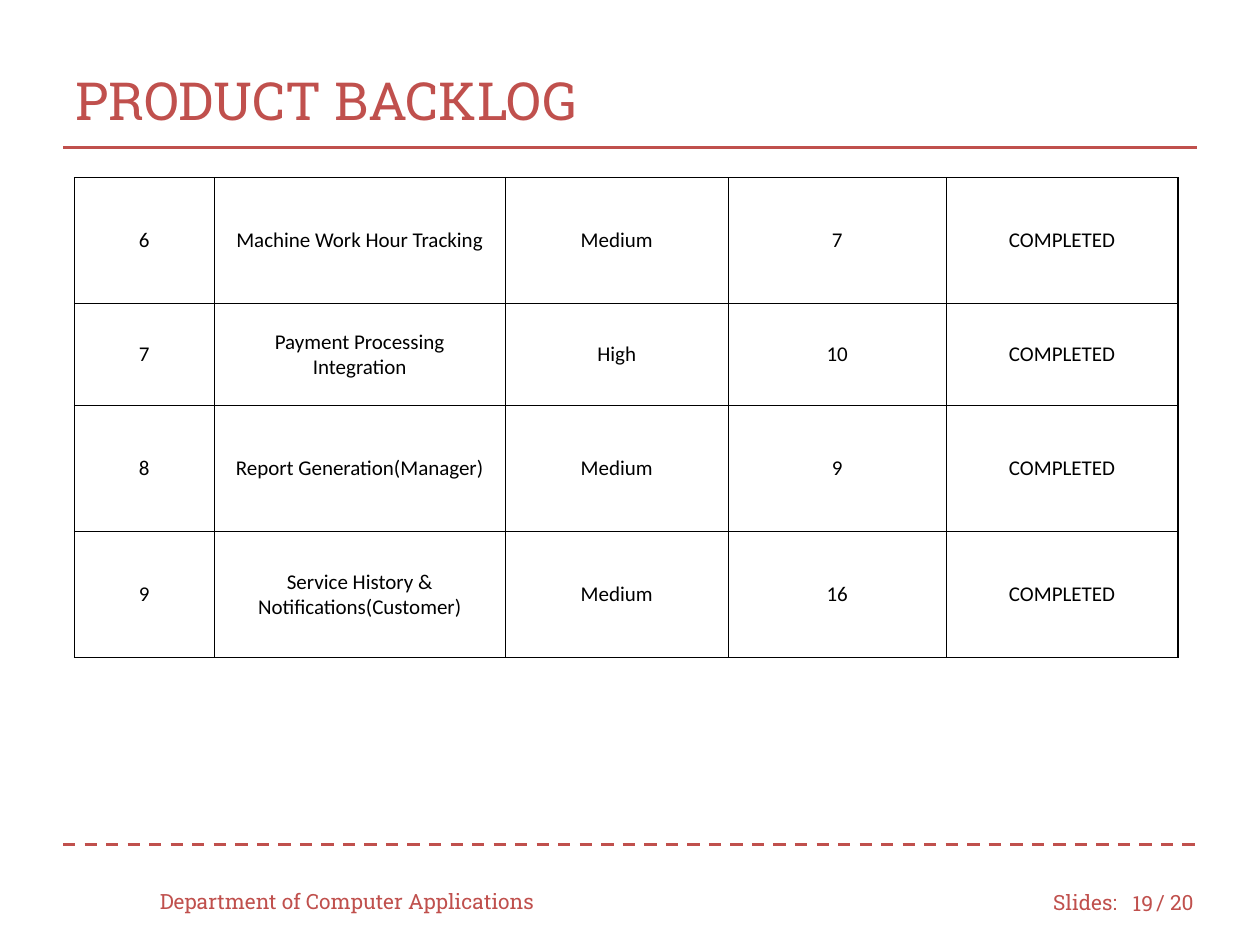
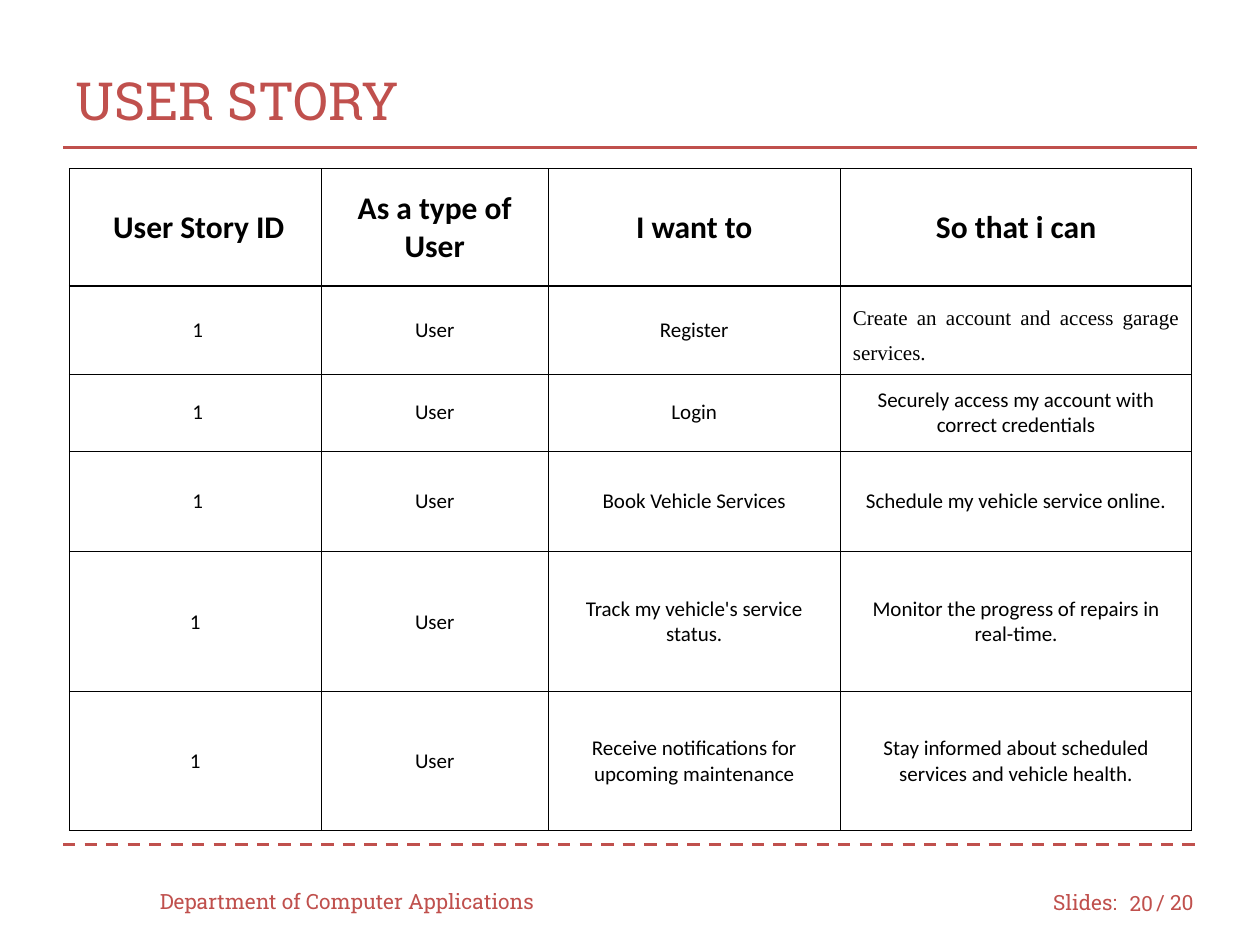
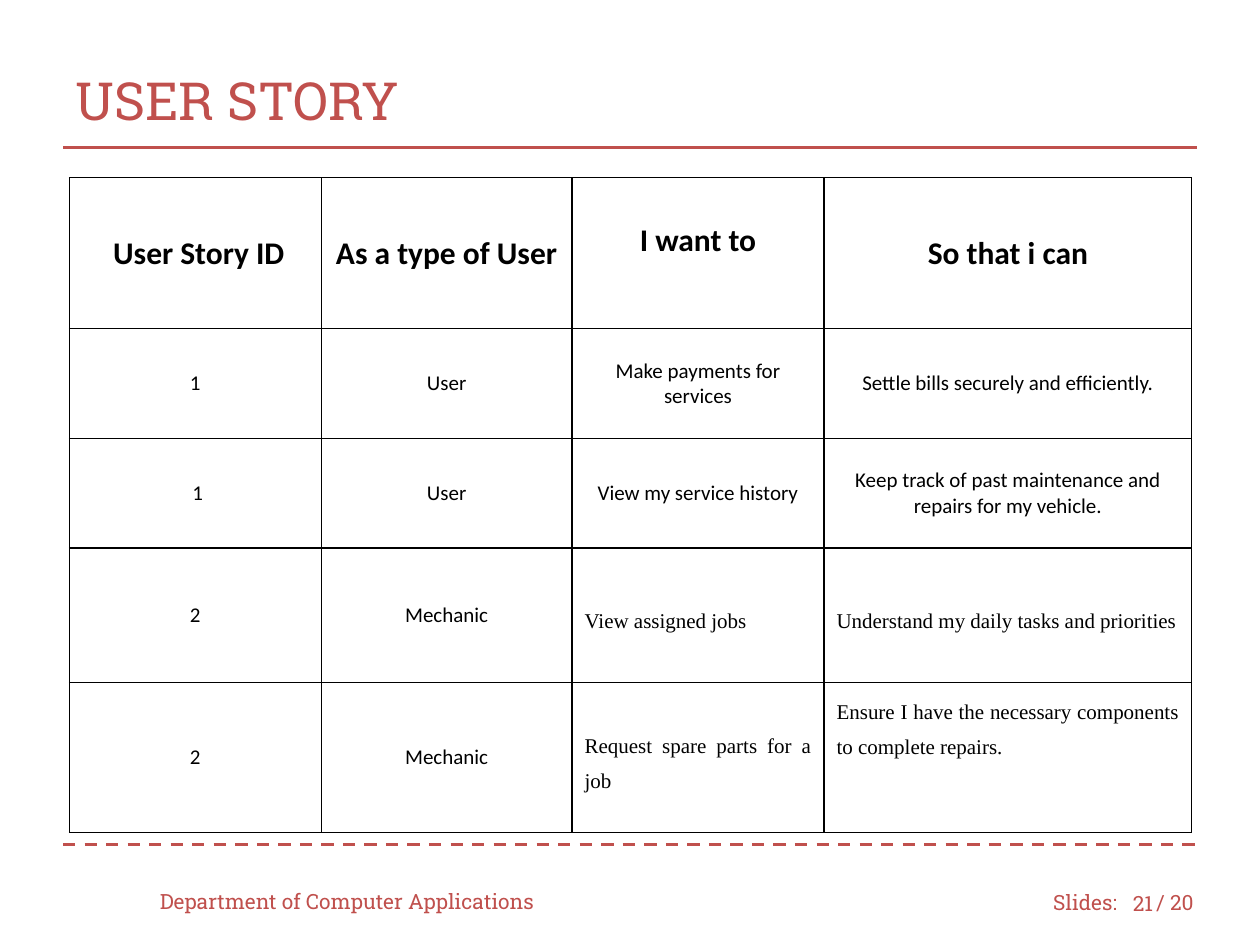
"""Build three project slides: a product backlog table and two user story tables."""
from lxml import etree
from pptx import Presentation
from pptx.dml.color import RGBColor
from pptx.enum.dml import MSO_LINE
from pptx.enum.shapes import MSO_CONNECTOR
from pptx.enum.text import MSO_ANCHOR, PP_ALIGN
from pptx.oxml.ns import qn
from pptx.util import Inches, Pt

LEFT, CENTER, RIGHT, JUSTIFY = PP_ALIGN.LEFT, PP_ALIGN.CENTER, PP_ALIGN.RIGHT, PP_ALIGN.JUSTIFY
TOP, MIDDLE = MSO_ANCHOR.TOP, MSO_ANCHOR.MIDDLE
RED, BLACK, WHITE = "C0504D", "000000", "FFFFFF"
SLAB, SANS, SERIF = "Roboto Slab", "Calibri", "Times New Roman"
BORDER_WIDTH = Pt(0.75)

RULES = [(1.17, None), (6.7, MSO_LINE.DASH)]
FOOTER = [
    ("Slides:", (8.26, 6.96, 0.75, 0.4), LEFT),
    ("/ 20", (9.08, 6.96, 0.58, 0.4), LEFT),
    ("Department of Computer Applications", (1.17, 6.95, 3.33, 0.4), LEFT),
]
TITLE_PLACE = (0.5, 0.33, 9, 0.92)
NUMBER_PLACE = (8.83, 6.97, 0.42, 0.4)

BODY = {"size": 12, "font": SANS, "bold": False, "align": CENTER, "anchor": MIDDLE,
        "margins": {"margin_top": 0.1, "margin_bottom": 0.1}, "spacing": {}}
HEADER = {**BODY, "size": 18, "bold": True}
HEADER_RAISED = {**HEADER, "margins": {"margin_top": 0.1, "margin_bottom": 0.3}}
PROSE = {**BODY, "font": SERIF, "align": JUSTIFY,
         "margins": {"margin_top": 0.05, "margin_bottom": 0.05},
         "spacing": {"line_spacing": 1.5, "space_before": Pt(5), "space_after": Pt(10)}}
PROSE_TOP = {**PROSE, "anchor": TOP}

STORY_HEADINGS = [" User Story ID", "As a type of User", "I want to", "So that i can"]

SLIDES = [
    {
        "title": "PRODUCT BACKLOG", "number": "19", "corner": (0.59, 1.41),
        "columns": [1.11, 2.31, 1.77, 1.73, 1.84], "heights": [1, 0.81, 1, 1],
        "rows": [
            ["6", "Machine Work Hour Tracking", "Medium", "7", "COMPLETED"],
            ["7", "Payment Processing Integration", "High", "10", "COMPLETED"],
            ["8", "Report Generation(Manager)", "Medium", "9", "COMPLETED"],
            ["9", "Service History & Notifications(Customer)", "Medium", "16", "COMPLETED"],
        ],
        "styles": {},
    },
    {
        "title": "USER STORY", "number": "20", "corner": (0.55, 1.34),
        "columns": [2, 1.8, 2.32, 2.79], "heights": [0.93, 0.64, 0.61, 0.8, 1.11, 1.1],
        "rows": [
            STORY_HEADINGS,
            [" 1", "User", "Register", "Create an account and access garage services."],
            [" 1", "User", "Login", "Securely access my account with correct credentials"],
            [" 1", "User", "Book Vehicle Services", "Schedule my vehicle service online."],
            ["1", "User", "Track my vehicle's service status.",
             "Monitor the progress of repairs in real-time."],
            ["1", "User", "Receive notifications for upcoming maintenance",
             "Stay informed about scheduled services and vehicle health."],
        ],
        "styles": {(1, 3): PROSE},
    },
    {
        "title": "USER STORY", "number": "21", "corner": (0.55, 1.41),
        "columns": [2, 1.99, 2, 2.92], "heights": [1.2, 0.87, 0.87, 1.07, 1.19],
        "rows": [
            STORY_HEADINGS,
            ["1", "User", "Make payments for services", "Settle bills securely and efficiently."],
            [" 1", "User", "View my service history",
             "Keep track of past maintenance and repairs for my vehicle."],
            ["2", "Mechanic", "View assigned jobs", "Understand my daily tasks and priorities"],
            ["2", "Mechanic", "Request spare parts for a job",
             "Ensure I have the necessary components to complete repairs."],
        ],
        "styles": {(0, 2): HEADER_RAISED, (3, 2): PROSE, (3, 3): PROSE,
                   (4, 2): PROSE, (4, 3): PROSE_TOP},
    },
]


def color(value):
    return RGBColor.from_string(value)


def write(frame, text, size, font, ink, align, bold=False, spacing=None):
    para = frame.paragraphs[0]
    para.alignment = align
    for name, value in (spacing or {}).items():
        setattr(para, name, value)
    span = para.add_run()
    span.text = text
    for name, value in {"size": Pt(size), "name": font, "bold": bold}.items():
        setattr(span.font, name, value)
    span.font.color.rgb = color(ink)


def add_text(page, text, place, size, align):
    frame = page.shapes.add_textbox(*map(Inches, place)).text_frame
    frame.word_wrap = True
    frame.vertical_anchor = MIDDLE
    write(frame, text, size, SLAB, RED, align)


def add_rule(page, height, dash):
    rule = page.shapes.add_connector(
        MSO_CONNECTOR.STRAIGHT, *map(Inches, (0.5, height, 9.5, height)))
    rule.line.color.rgb = color(RED)
    rule.line.width = Pt(1.75)
    if dash:
        rule.line.dash_style = dash
    etree.SubElement(rule._element.spPr, qn("a:effectLst"))


def add_borders(cell):
    properties = cell._tc.get_or_add_tcPr()
    for side in ("lnL", "lnR", "lnT", "lnB"):
        border = etree.SubElement(properties, qn(f"a:{side}"), w=str(BORDER_WIDTH))
        fill = etree.SubElement(border, qn("a:solidFill"))
        etree.SubElement(fill, qn("a:srgbClr"), val=BLACK)


def fill_cell(cell, text, style):
    add_borders(cell)
    cell.fill.solid()
    cell.fill.fore_color.rgb = color(WHITE)
    cell.vertical_anchor = style["anchor"]
    for name, value in style["margins"].items():
        setattr(cell, name, Inches(value))
    write(cell.text_frame, text, style["size"], style["font"], BLACK,
          style["align"], style["bold"], style["spacing"])


def add_grid(page, content):
    columns, heights, rows = content["columns"], content["heights"], content["rows"]
    place = (*content["corner"], sum(columns), sum(heights))
    grid = page.shapes.add_table(len(rows), len(columns), *map(Inches, place)).table
    for column, width in zip(grid.columns, columns):
        column.width = Inches(width)
    for row, height in zip(grid.rows, heights):
        row.height = Inches(height)
    for r, texts in enumerate(rows):
        usual = HEADER if texts is STORY_HEADINGS else BODY
        for c, text in enumerate(texts):
            fill_cell(grid.cell(r, c), text, content["styles"].get((r, c), usual))


def add_page(deck, content):
    page = deck.slides.add_slide(deck.slide_layouts[6])
    for text, place, align in FOOTER:
        add_text(page, text, place, 12, align)
    for height, dash in RULES:
        add_rule(page, height, dash)
    add_text(page, content["title"], TITLE_PLACE, 30, LEFT)
    add_text(page, content["number"], NUMBER_PLACE, 12, RIGHT)
    add_grid(page, content)


def main():
    deck = Presentation()
    deck.slide_width, deck.slide_height = Inches(10), Inches(7.5)
    for content in SLIDES:
        add_page(deck, content)
    deck.save("out.pptx")


if __name__ == "__main__":
    main()
